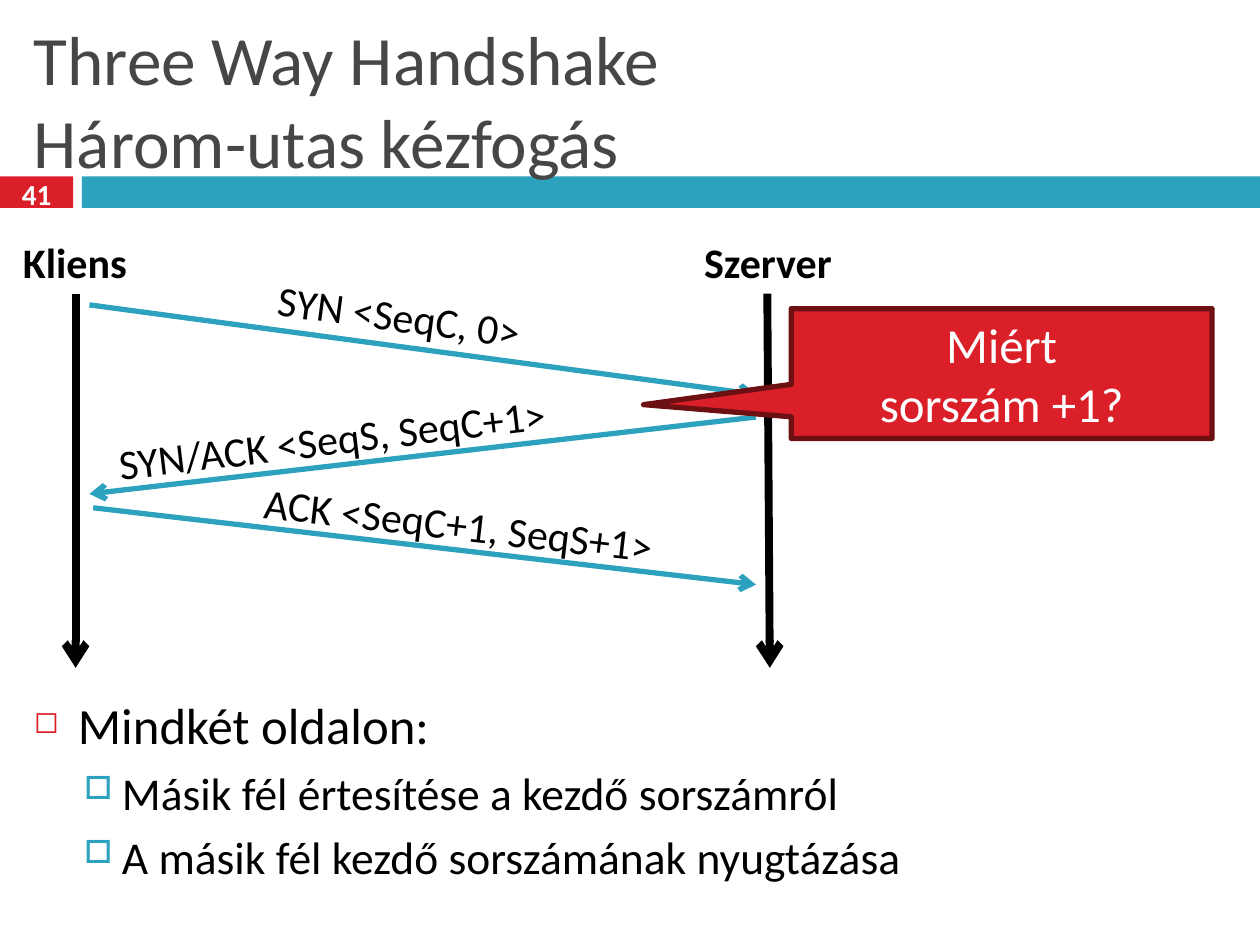
from pptx import Presentation
from pptx.dml.color import RGBColor
from pptx.enum.shapes import MSO_CONNECTOR as Connector, MSO_SHAPE as Preset
from pptx.enum.text import MSO_ANCHOR as Anchor, PP_ALIGN as Align
from pptx.oxml.ns import qn
from pptx.util import Inches, Pt
from lxml.etree import SubElement

THEME = {
    "font": "Calibri",
    "red": "DA1F28", "dark_red": "6D1014", "teal": "2DA2BF",
    "gray": "464646", "black": "000000", "white": "FFFFFF",
    "title": 39.6, "number": 16.6, "label": 24, "callout": 28,
    "timeline": 4.5, "message": 3, "outline": 3,
}

TITLE = "Three Way Handshake\vHárom-utas kézfogás"
SLIDE_NUMBER = "41"
BANDS = [((0, 1.4, 0.58, 0.25), "red"), ((0.65, 1.4, 9.35, 0.25), "teal")]

# name, label box, line start, line end
TIMELINES = [
    ("Kliens", (0.06, 1.83, 1.07, 0.5), (0.6, 2.33), (0.6, 5.3)),
    ("Szerver", (5.47, 1.83, 1.25, 0.5), (6.09, 2.33), (6.11, 5.3)),
]
# text, label box, rotation, arrow start, arrow end
MESSAGES = [
    ("SYN <SeqC, 0>", (2.1, 2.29, 2.69, 0.5), 7.6, (0.71, 2.42), (6, 3.13)),
    ("SYN/ACK <SeqS, SeqC+1>", (0.83, 3.18, 4.4, 0.5), -6.9, (6, 3.31), (0.71, 3.92)),
    ("ACK <SeqC+1, SeqS+1>", (1.99, 3.95, 4, 0.5), 6.6, (0.74, 4.03), (6, 4.64)),
]
CALLOUT = ["Miért", "sorszám +1?"]
CALLOUT_BOX = (6.28, 2.45, 3.34, 1.03)
CALLOUT_TIP = (-0.851, 0.24)

BULLETS = [
    (0, "Mindkét oldalon:"),
    (1, "Másik fél értesítése a kezdő sorszámról"),
    (1, "A másik fél kezdő sorszámának nyugtázása"),
]
BULLET_LEVELS = [
    {"size": 29, "before": 7, "left": 0.35, "hang": 0.35,
     "mark": "◻", "color": "red", "percent": 60},
    {"size": 26, "before": 5.5, "left": 0.7, "hang": 0.3,
     "mark": "□", "color": "teal", "percent": 70},
]


def color(name):
    return RGBColor.from_string(THEME[name])


def style(paragraph, size, ink, bold=False, align=Align.LEFT):
    paragraph.alignment = align
    font = paragraph.font
    font.name, font.size, font.bold = THEME["font"], Pt(size), bold
    font.color.rgb = color(ink)


def add_text(slide, box, lines, size, ink="black", anchor=Anchor.TOP, **options):
    shape = slide.shapes.add_textbox(*map(Inches, box))
    fill_text(shape, lines, size, ink, anchor, **options)
    return shape


def fill_text(shape, lines, size, ink, anchor, **options):
    frame = shape.text_frame
    frame.word_wrap = True
    frame.vertical_anchor = anchor
    for index, line in enumerate(lines):
        paragraph = frame.paragraphs[0] if index == 0 else frame.add_paragraph()
        paragraph.text = line
        style(paragraph, size, ink, **options)


def add_block(slide, preset, box, fill):
    shape = slide.shapes.add_shape(preset, *map(Inches, box))
    shape.shadow.inherit = False
    shape.fill.solid()
    shape.fill.fore_color.rgb = color(fill)
    shape.line.fill.background()
    return shape


def add_arrow(slide, start, end, ink, width):
    arrow = slide.shapes.add_connector(Connector.STRAIGHT, *map(Inches, start + end))
    arrow.line.color.rgb = color(ink)
    arrow.line.width = Pt(width)
    SubElement(arrow.line._get_or_add_ln(), qn("a:tailEnd"), type="arrow")
    SubElement(arrow._element.spPr, qn("a:effectLst"))


def add_bullet(paragraph, level):
    """Set the hanging indent and the coloured bullet mark of a level."""
    properties = paragraph._p.get_or_add_pPr()
    properties.set("marL", str(Inches(level["left"])))
    properties.set("indent", str(-Inches(level["hang"])))
    bullet_color = SubElement(properties, qn("a:buClr"))
    SubElement(bullet_color, qn("a:srgbClr"), val=THEME[level["color"]])
    SubElement(properties, qn("a:buSzPct"), val=str(level["percent"] * 1000))
    SubElement(properties, qn("a:buChar"), char=level["mark"])


def add_bullets(slide, box):
    frame = slide.shapes.add_textbox(*map(Inches, box)).text_frame
    frame.word_wrap = True
    for index, (depth, text) in enumerate(BULLETS):
        level = BULLET_LEVELS[depth]
        paragraph = frame.paragraphs[0] if index == 0 else frame.add_paragraph()
        paragraph.text = text
        paragraph.level = depth
        add_bullet(paragraph, level)
        if index:
            paragraph.space_before = Pt(level["before"])
        style(paragraph, level["size"], "black")


def add_callout(slide):
    callout = add_block(slide, Preset.RECTANGULAR_CALLOUT, CALLOUT_BOX, "red")
    callout.adjustments[0], callout.adjustments[1] = CALLOUT_TIP
    callout.line.color.rgb = color("dark_red")
    callout.line.width = Pt(THEME["outline"])
    fill_text(callout, CALLOUT, THEME["callout"], "white", Anchor.MIDDLE,
              align=Align.CENTER)


def main():
    presentation = Presentation()
    presentation.slide_width, presentation.slide_height = Inches(10), Inches(7.5)
    slide = presentation.slides.add_slide(presentation.slide_layouts[6])

    for box, fill in BANDS:
        add_block(slide, Preset.RECTANGLE, box, fill)
    add_text(slide, (0.17, 0.25, 9.67, 1.08), [TITLE], THEME["title"], "gray",
             Anchor.MIDDLE)
    add_text(slide, (0, 1.37, 0.58, 0.33), [SLIDE_NUMBER], THEME["number"], "white",
             Anchor.MIDDLE, bold=True, align=Align.CENTER)
    add_bullets(slide, (0.17, 5.46, 9.67, 1.88))

    for name, box, start, end in TIMELINES:
        add_arrow(slide, start, end, "black", THEME["timeline"])
        add_text(slide, box, [name], THEME["label"], bold=True, align=Align.CENTER)
    for text, box, rotation, start, end in MESSAGES:
        add_arrow(slide, start, end, "teal", THEME["message"])
        add_text(slide, box, [text], THEME["label"]).rotation = rotation
    add_callout(slide)

    presentation.save("out.pptx")


if __name__ == "__main__":
    main()
